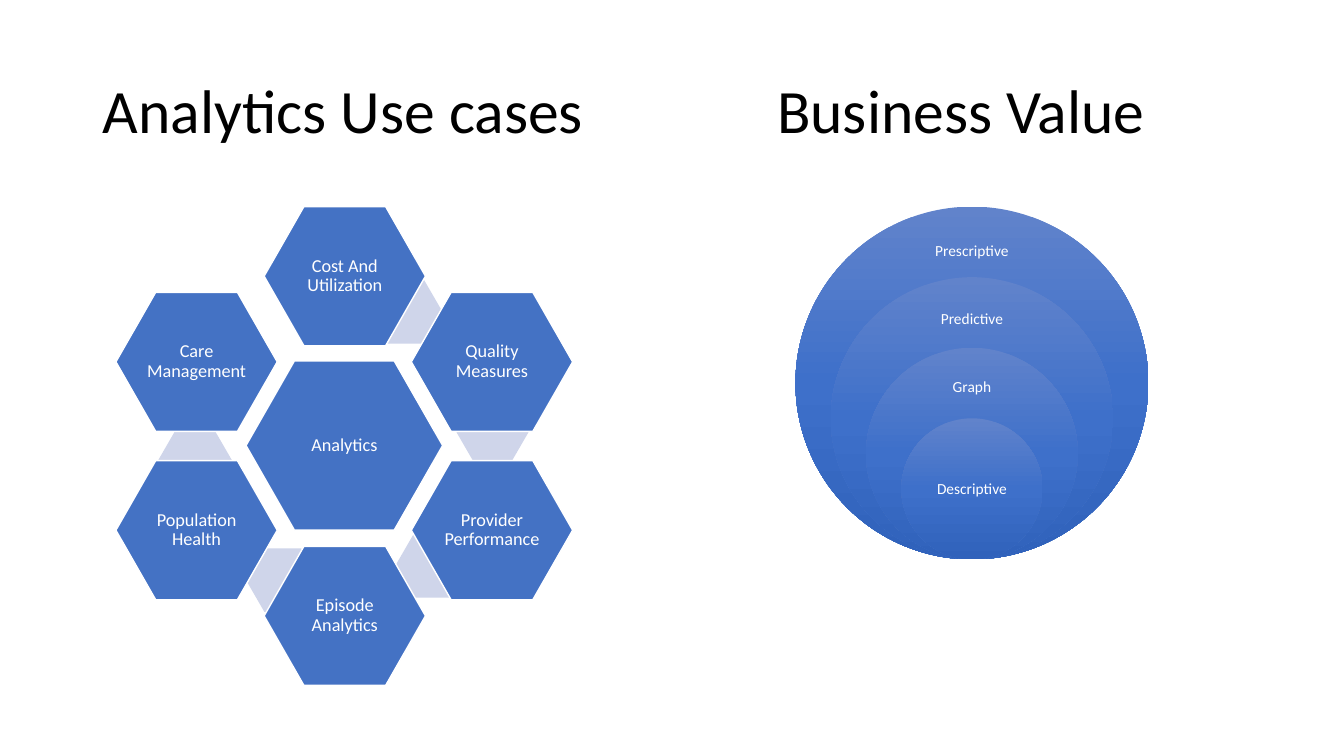
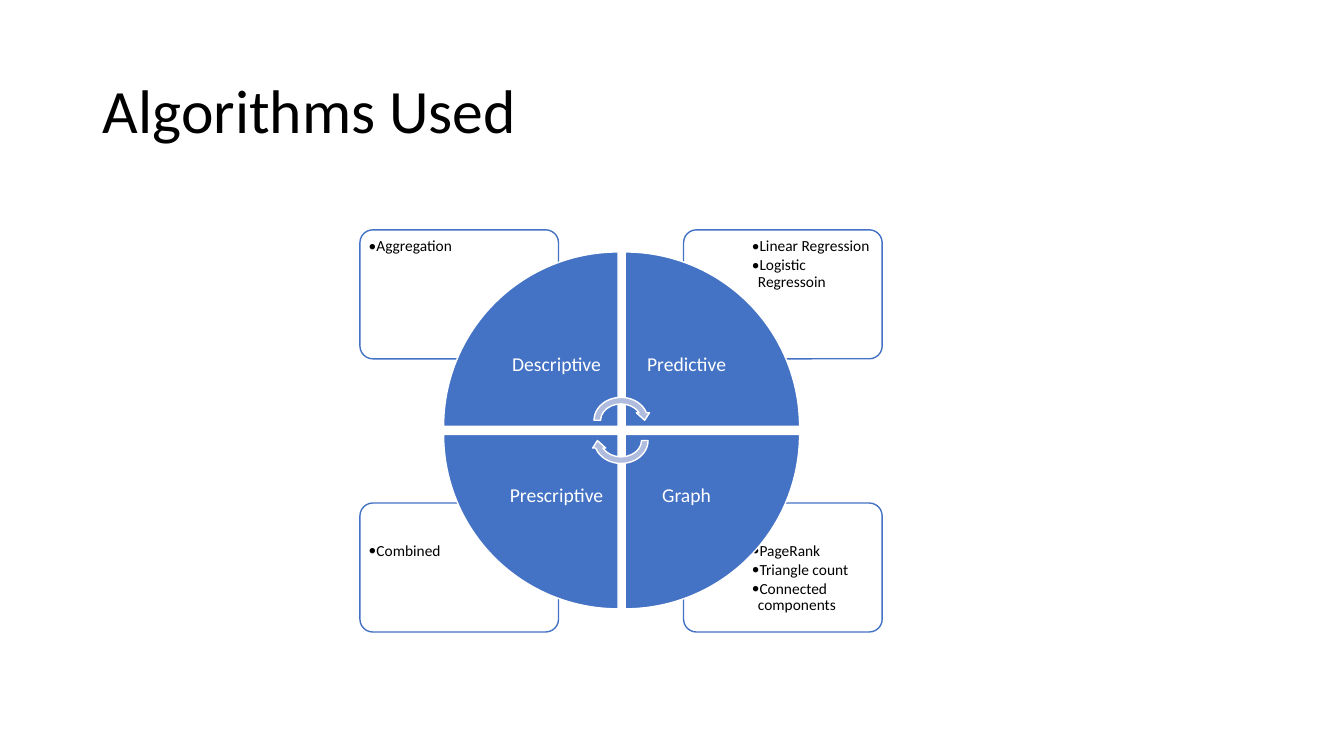
from copy import deepcopy

from lxml.etree import SubElement
from pptx import Presentation
from pptx.dml.color import RGBColor
from pptx.enum.shapes import MSO_SHAPE
from pptx.enum.text import MSO_ANCHOR, MSO_AUTO_SIZE, PP_ALIGN
from pptx.oxml.ns import qn
from pptx.util import Pt

PX = 9144  # EMU per px, 100 px to the inch
SLIDE_SIZE = (1333, 750)
FONT = "Calibri"
COLORS = {
    "black": "000000",
    "white": "FFFFFF",
    "blue": "4472C4",
    "pale": "CFD5EA",
    "arrow": "B0BCDE",
}
GRADIENT = [(0, "6183CB"), (0.5, "3E70CA"), (1, "3062BB")]

# Slide 1: hexagon ring, clockwise from the top, and nested circles
USE_CASES_TITLE = "Analytics Use cases"
VALUE_TITLE = "Business Value"
HUB, HUB_BOX = "Analytics", (244, 358, 195, 168)
RING_X, RING_Y = (115, 262, 408), (205, 290, 457, 542)
HEXAGON_SIZE, LINK_SIZE = (160, 138), (73, 63)
USE_CASES = [  # label, column, row, top left of the pale link behind it
    ("Cost And Utilization", 1, 0, (366, 278)),
    ("Quality Measures", 2, 1, (452, 396)),
    ("Provider Performance", 2, 2, (392, 530)),
    ("Episode Analytics", 1, 3, (244, 544)),
    ("Population Health", 0, 2, (157, 425)),
    ("Care Management", 0, 1, None),
]
CIRCLES_CENTER_X, CIRCLES_BOTTOM = 964, 555
CIRCLE_SIZE, CIRCLE_STEP = 350, 70
VALUE_LABEL_SIZE = (98, 50)
VALUE_LEVELS = [  # label, top of its text
    ("Prescriptive", 224),
    ("Predictive", 292),
    ("Graph", 359),
    ("Descriptive", 461),
]

# Slide 2: quadrants, clockwise from the top left
ALGORITHMS_TITLE = "Algorithms Used"
QUADRANTS = [  # label, column, row, algorithms
    ("Descriptive", 0, 0, ["Aggregation"]),
    ("Predictive", 1, 0, ["Linear Regression", "Logistic Regressoin"]),
    ("Graph", 1, 1, ["PageRank", "Triangle count", "Connected components"]),
    ("Prescriptive", 0, 1, ["Combined"]),
]
CARD_X, CARD_Y, CARD_SIZE = (357, 678), (228, 499), (197, 128)
CARD_MARGIN_X, CARD_MARGIN_Y = (5, 64), (5, 36)
WEDGE_X, WEDGE_Y, WEDGE_SIZE = (440, 620), (250, 431), 173
WEDGE_LABEL_SIZE = 122
ARROWS = [((586, 391, 60, 52), 0), ((586, 411, 60, 52), 180)]


def color(name):
    return RGBColor.from_string(COLORS.get(name, name))


def emu(box):
    return [round(length * PX) for length in box]


def add_bullet(paragraph, character, indent=6):
    properties = paragraph._p.get_or_add_pPr()
    properties.set("marL", str(indent * PX))
    properties.set("indent", str(-indent * PX))
    SubElement(properties, qn("a:buFont")).set("typeface", FONT)
    SubElement(properties, qn("a:buChar")).set("char", character)


def write_text(shape, lines, size=13, ink="white", align=PP_ALIGN.CENTER,
               anchor=MSO_ANCHOR.MIDDLE, margins=(2, 2, 2, 2),
               space_after=0, bullet=None):
    """Fill a shape with paragraphs; margins are left, top, right, bottom."""
    frame = shape.text_frame
    frame.word_wrap = True
    frame.auto_size = MSO_AUTO_SIZE.NONE
    frame.vertical_anchor = anchor
    (frame.margin_left, frame.margin_top,
     frame.margin_right, frame.margin_bottom) = emu(margins)
    for index, line in enumerate(lines):
        paragraph = frame.add_paragraph() if index else frame.paragraphs[0]
        paragraph.alignment = align
        paragraph.line_spacing = 0.9
        paragraph.space_after = Pt(space_after)
        run = paragraph.add_run()
        run.text = line
        run.font.name = FONT
        run.font.size = Pt(size)
        run.font.color.rgb = color(ink)
        if bullet:
            add_bullet(paragraph, bullet)


def add_label(slide, box, text, **style):
    write_text(slide.shapes.add_textbox(*emu(box)), [text], **style)


def add_figure(slide, kind, box, fill=None, line=None, adjust=None, rotation=0):
    shape = slide.shapes.add_shape(kind, *emu(box))
    shape.shadow.inherit = False
    shape.rotation = rotation
    if adjust is not None:
        shape.adjustments[0] = adjust
    if fill:
        shape.fill.solid()
        shape.fill.fore_color.rgb = color(fill)
    if line:
        shape.line.color.rgb = color(line)
        shape.line.width = Pt(1)
    else:
        shape.line.fill.background()
    return shape


def fill_gradient(shape):
    shape.fill.gradient()
    shape.fill.gradient_angle = 270
    stop_list = next(shape._element.iter(qn("a:gsLst")))
    while len(stop_list) < len(GRADIENT):
        stop_list.append(deepcopy(stop_list[0]))
    for stop, (position, hue) in zip(shape.fill.gradient_stops, GRADIENT):
        stop.position = position
        stop.color.rgb = color(hue)


def write_title(shape, text, left=92, width=1150):
    shape.left, shape.top, shape.width, shape.height = emu((left, 40, width, 145))
    write_text(shape, [text], size=44, ink="black", align=PP_ALIGN.LEFT,
               margins=(10, 5, 10, 5))


def add_titled_slide(presentation, text, **place):
    slide = presentation.slides.add_slide(presentation.slide_layouts[5])
    write_title(slide.shapes.title, text, **place)
    return slide


def add_hexagon(slide, box, text):
    hexagon = add_figure(slide, MSO_SHAPE.HEXAGON, box, "blue", "white", 0.286)
    write_text(hexagon, [text])


def build_use_cases(presentation):
    slide = add_titled_slide(presentation, USE_CASES_TITLE, width=503)

    # Hexagon ring around the hub
    add_hexagon(slide, HUB_BOX, HUB)
    for text, column, row, link in USE_CASES:
        if link:
            add_figure(slide, MSO_SHAPE.HEXAGON, link + LINK_SIZE, "pale",
                       adjust=0.289)
        add_hexagon(slide, (RING_X[column], RING_Y[row]) + HEXAGON_SIZE, text)

    # Nested circles resting on one point
    write_title(slide.shapes.add_textbox(0, 0, PX, PX), VALUE_TITLE,
                left=761, width=503)
    label_left = CIRCLES_CENTER_X - VALUE_LABEL_SIZE[0] / 2
    for index, (text, label_top) in enumerate(VALUE_LEVELS):
        size = CIRCLE_SIZE - index * CIRCLE_STEP
        box = (CIRCLES_CENTER_X - size / 2, CIRCLES_BOTTOM - size, size, size)
        fill_gradient(add_figure(slide, MSO_SHAPE.OVAL, box))
        add_label(slide, (label_left, label_top) + VALUE_LABEL_SIZE, text,
                  size=11, margins=(9, 9, 9, 9))


def build_algorithms(presentation):
    slide = add_titled_slide(presentation, ALGORITHMS_TITLE)

    # Cards, their text kept to the outer corner
    for _, column, row, algorithms in QUADRANTS:
        card = add_figure(slide, MSO_SHAPE.ROUNDED_RECTANGLE,
                          (CARD_X[column], CARD_Y[row]) + CARD_SIZE,
                          "white", "blue", 0.1)
        margins = (CARD_MARGIN_X[column], CARD_MARGIN_Y[row],
                   CARD_MARGIN_X[1 - column], CARD_MARGIN_Y[1 - row])
        write_text(card, algorithms, size=11, ink="black", align=PP_ALIGN.LEFT,
                   anchor=MSO_ANCHOR.TOP, margins=margins, space_after=1.65,
                   bullet="•")

    # Wedges, their labels kept to the inner corner
    shift = WEDGE_SIZE - WEDGE_LABEL_SIZE
    for index, (text, column, row, _) in enumerate(QUADRANTS):
        x, y = WEDGE_X[column], WEDGE_Y[row]
        add_figure(slide, MSO_SHAPE.PIE_WEDGE, (x, y, WEDGE_SIZE, WEDGE_SIZE),
                   "blue", "white", rotation=index * 90)
        add_label(slide, (x + shift * (1 - column), y + shift * (1 - row),
                          WEDGE_LABEL_SIZE, WEDGE_LABEL_SIZE),
                  text, size=14, margins=(11, 11, 11, 11))

    # Cycle arrows
    for box, rotation in ARROWS:
        add_figure(slide, MSO_SHAPE.CIRCULAR_ARROW, box, "arrow", "white",
                   rotation=rotation)


def main():
    presentation = Presentation()
    presentation.slide_width, presentation.slide_height = emu(SLIDE_SIZE)
    build_use_cases(presentation)
    build_algorithms(presentation)
    presentation.save("out.pptx")


if __name__ == "__main__":
    main()
